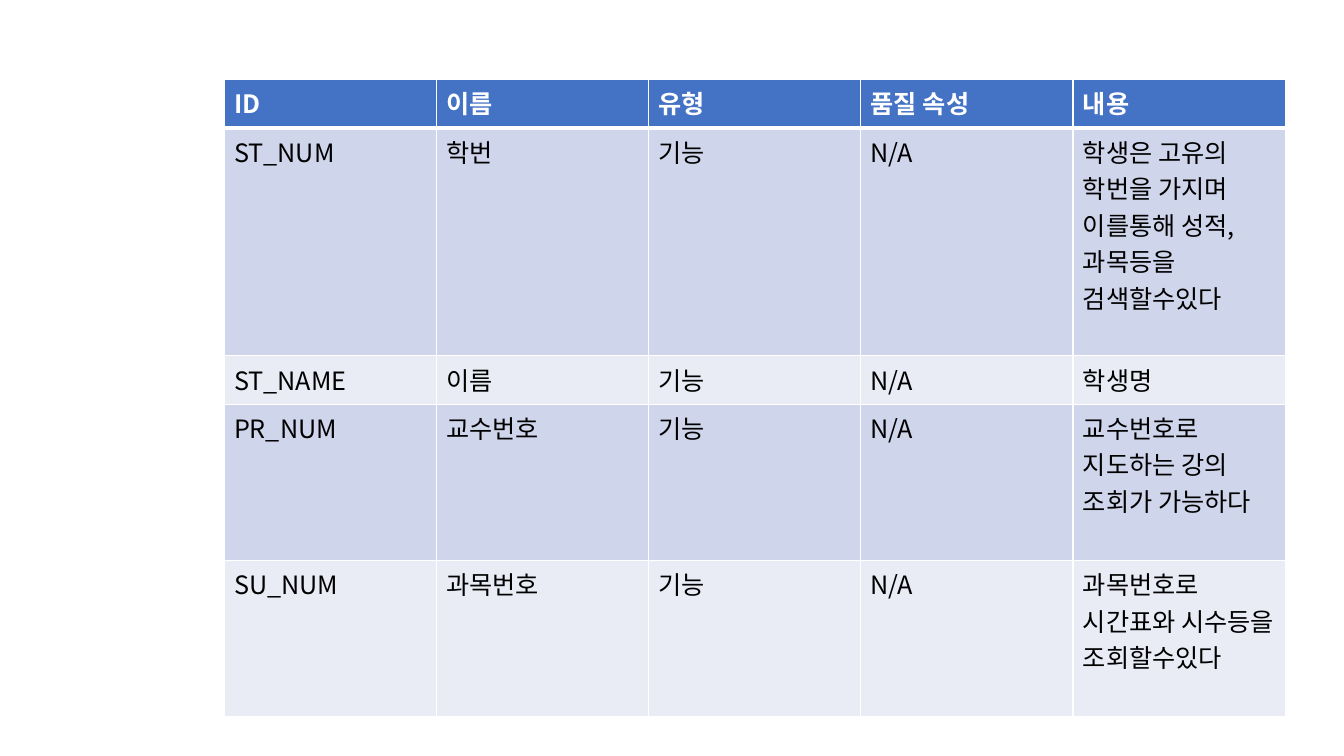
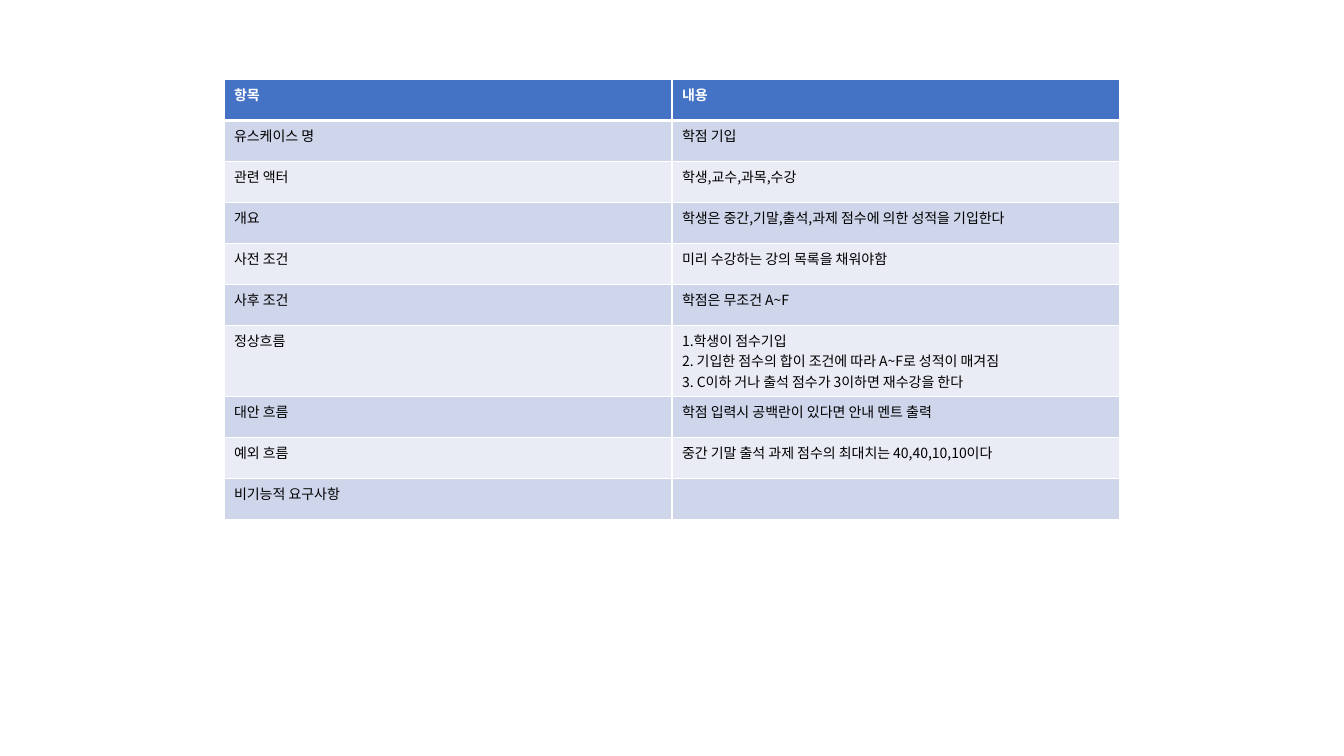
"""Builds two table slides: data requirements and a use case description."""
import pptx
import pptx.dml.color
import pptx.oxml
import pptx.oxml.ns
import pptx.util

Pt = pptx.util.Pt
RGBColor = pptx.dml.color.RGBColor

FONT = "Noto Sans CJK KR"
HEADER = RGBColor(0x44, 0x72, 0xC4)
BAND_DARK = RGBColor(0xCF, 0xD5, 0xEA)
BAND_LIGHT = RGBColor(0xE9, 0xEB, 0xF5)
WHITE = RGBColor(0xFF, 0xFF, 0xFF)
BLACK = RGBColor(0x00, 0x00, 0x00)
LEFT, TOP = 160, 56.9

REQUIREMENTS = [
    ("ID", "이름", "유형", "품질 속성", "내용"),
    ("ST_NUM", "학번", "기능", "N/A", "학생은 고유의 학번을 가지며 이를통해 성적, 과목등을 검색할수있다"),
    ("ST_NAME", "이름", "기능", "N/A", "학생명"),
    ("PR_NUM", "교수번호", "기능", "N/A", "교수번호로 지도하는 강의 조회가 가능하다"),
    ("SU_NUM", "과목번호", "기능", "N/A", "과목번호로 시간표와 시수등을 조회할수있다"),
]
REQUIREMENT_HEIGHTS = [34.6, 162.7, 34.6, 111.6, 111.6]

USE_CASE = [
    ("항목", "내용"),
    ("유스케이스 명", "학점 기입"),
    ("관련 액터", "학생,교수,과목,수강"),
    ("개요", "학생은 중간,기말,출석,과제 점수에 의한 성적을 기입한다"),
    ("사전 조건", "미리 수강하는 강의 목록을 채워야함"),
    ("사후 조건", "학점은 무조건 A~F"),
    ("정상흐름", "1.학생이 점수기입\n"
                 "2. 기입한 점수의 합이 조건에 따라 A~F로 성적이 매겨짐\n"
                 "3. C이하 거나 출석 점수가 3이하면 재수강을 한다"),
    ("대안 흐름", "학점 입력시 공백란이 있다면 안내 멘트 출력"),
    ("예외 흐름", "중간 기말 출석 과제 점수의 최대치는 40,40,10,10이다"),
    ("비기능적 요구사항", ""),
]
USE_CASE_HEIGHTS = [29.3] * len(USE_CASE)


def write_text(tf, text, size=18, color=BLACK, bold=False):
    for i, line in enumerate(text.split("\n")):
        p = tf.add_paragraph() if i else tf.paragraphs[0]
        r = p.add_run()
        r.text = line
        r.font.size = Pt(size)
        r.font.bold = bold
        r.font.color.rgb = color
        r.font.name = FONT
        ea = pptx.oxml.parse_xml(
            f'<a:ea {pptx.oxml.ns.nsdecls("a")} typeface="{FONT}"/>')
        r.font._element.append(ea)


def set_borders(cell, top=1, bottom=1):
    tc_pr = cell._tc.get_or_add_tcPr()
    widths = {"lnL": 1, "lnR": 1, "lnT": top, "lnB": bottom}
    for i, (side, width) in enumerate(widths.items()):
        tc_pr.insert(i, pptx.oxml.parse_xml(
            f'<a:{side} {pptx.oxml.ns.nsdecls("a")} w="{Pt(width)}">'
            f'<a:solidFill><a:srgbClr val="{WHITE}"/></a:solidFill></a:{side}>'))


def format_cell(cell, text, row, size):
    if row == 0:
        fill, color = HEADER, WHITE
    else:
        fill, color = (BAND_DARK if row % 2 else BAND_LIGHT), BLACK
    cell.fill.solid()
    cell.fill.fore_color.rgb = fill
    set_borders(cell, top=3 if row == 1 else 1, bottom=3 if row == 0 else 1)
    write_text(cell.text_frame, text, size=size, color=color, bold=row == 0)


def add_table_slide(prs, rows, heights, col_width, size):
    s = prs.slides.add_slide(prs.slide_layouts[6])
    cols = len(rows[0])
    table = s.shapes.add_table(len(rows), cols, Pt(LEFT), Pt(TOP),
                               Pt(col_width * cols), Pt(sum(heights))).table
    for column in table.columns:
        column.width = Pt(col_width)
    for i, (texts, height) in enumerate(zip(rows, heights)):
        table.rows[i].height = Pt(height)
        for j, text in enumerate(texts):
            format_cell(table.cell(i, j), text, i, size)


def main():
    prs = pptx.Presentation()
    prs.slide_width, prs.slide_height = Pt(960), Pt(540)
    add_table_slide(prs, REQUIREMENTS, REQUIREMENT_HEIGHTS, col_width=151.6, size=18)
    add_table_slide(prs, USE_CASE, USE_CASE_HEIGHTS, col_width=320, size=10)
    prs.save("out.pptx")


if __name__ == "__main__":
    main()
